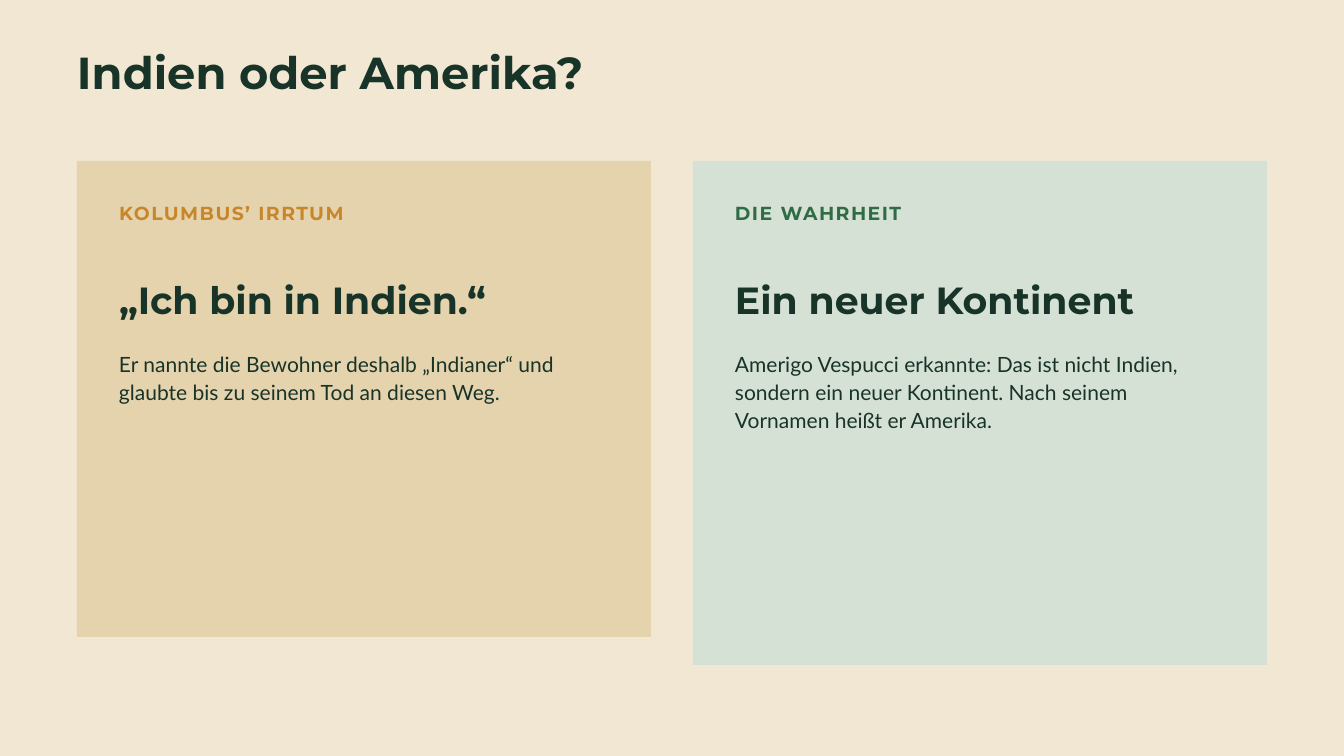
from dataclasses import dataclass

from pptx import Presentation
from pptx.dml.color import RGBColor
from pptx.enum.shapes import MSO_SHAPE as Shape
from pptx.enum.text import MSO_ANCHOR as Anchor, MSO_AUTO_SIZE as AutoSize, PP_ALIGN as Align
from pptx.shapes.base import BaseShape
from pptx.slide import Slide
from pptx.util import Emu, Pt

PX = 9525
SLIDE_WIDTH, SLIDE_HEIGHT = 1920, 1080
MARGIN = 110
CARD_TOP, CARD_WIDTH, CARD_GAP = 230, 820, 60
PADDING = 60

CREAM = RGBColor(0xF1, 0xE7, 0xD2)
SAND = RGBColor(0xE5, 0xD3, 0xAE)
MINT = RGBColor(0xD6, 0xE1, 0xD5)
INK = RGBColor(0x18, 0x33, 0x28)
OCHRE = RGBColor(0xC8, 0x86, 0x2A)
GREEN = RGBColor(0x2F, 0x6B, 0x45)

HEADING_FONT, BODY_FONT = "Montserrat", "Lato"


@dataclass(frozen=True)
class Card:
    """One side of the comparison."""

    label: str
    heading: str
    body: str
    height: int
    body_height: int
    fill: RGBColor
    accent: RGBColor


CARDS = (
    Card("KOLUMBUS’ IRRTUM", "„Ich bin in Indien.“",
         "Er nannte die Bewohner deshalb „Indianer“ und glaubte bis zu seinem Tod an diesen Weg.",
         680, 78, SAND, OCHRE),
    Card("DIE WAHRHEIT", "Ein neuer Kontinent",
         "Amerigo Vespucci erkannte: Das ist nicht Indien, sondern ein neuer Kontinent. "
         "Nach seinem Vornamen heißt er Amerika.",
         720, 118, MINT, GREEN),
)


def place(shape: BaseShape, left: int, top: int, width: int, height: int) -> None:
    """Set the position and size of a shape in px."""
    shape.left, shape.top = Emu(left * PX), Emu(top * PX)
    shape.width, shape.height = Emu(width * PX), Emu(height * PX)


def write_text(shape: BaseShape, text: str, *, size: float, line: float,
               font: str = HEADING_FONT, color: RGBColor = INK,
               bold: bool = True, tracking: float = 0) -> None:
    """Fill a shape with one formatted paragraph."""
    frame = shape.text_frame
    frame.margin_left = frame.margin_top = frame.margin_right = frame.margin_bottom = 0
    frame.word_wrap = True
    frame.auto_size = AutoSize.NONE
    frame.vertical_anchor = Anchor.TOP
    paragraph = frame.paragraphs[0]
    paragraph.alignment = Align.LEFT
    paragraph.line_spacing = Pt(line)
    run = paragraph.add_run()
    run.text = text
    run.font.name, run.font.size, run.font.bold = font, Pt(size), bold
    run.font.color.rgb = color
    if tracking:
        run.font._element.set("spc", str(round(tracking * 100)))


def draw_card(slide: Slide, card: Card, left: int) -> None:
    """Draw a grouped panel with its label, heading and body."""
    shapes = slide.shapes.add_group_shape().shapes
    panel = shapes.add_shape(Shape.RECTANGLE, 0, 0, 0, 0)
    place(panel, left, CARD_TOP, CARD_WIDTH, card.height)
    panel.shadow.inherit = False
    panel.fill.solid()
    panel.fill.fore_color.rgb = card.fill
    panel.line.fill.background()

    rows = (
        (card.label, 282, 700, 35, dict(size=20.2, line=28.4, color=card.accent, tracking=1.6)),
        (card.heading, 385, 700, 69, dict(size=40.5, line=56.7)),
        (card.body, 497, 680, card.body_height,
         dict(size=22.5, line=30.4, font=BODY_FONT, bold=False)),
    )
    for text, top, width, height, text_format in rows:
        box = shapes.add_textbox(0, 0, 0, 0)
        place(box, left + PADDING, top, width, height)
        write_text(box, text, **text_format)


def main() -> None:
    """Build and save the slide."""
    presentation = Presentation()
    presentation.slide_width = Emu(SLIDE_WIDTH * PX)
    presentation.slide_height = Emu(SLIDE_HEIGHT * PX)
    slide = presentation.slides.add_slide(presentation.slide_layouts.get_by_name("Title Only"))
    slide.background.fill.solid()
    slide.background.fill.fore_color.rgb = CREAM

    title = slide.shapes.title
    place(title, MARGIN, 72, 1200, 70)
    write_text(title, "Indien oder Amerika?", size=48, line=51.8)
    for index, card in enumerate(CARDS):
        draw_card(slide, card, MARGIN + index * (CARD_WIDTH + CARD_GAP))
    presentation.save("out.pptx")


if __name__ == "__main__":
    main()
